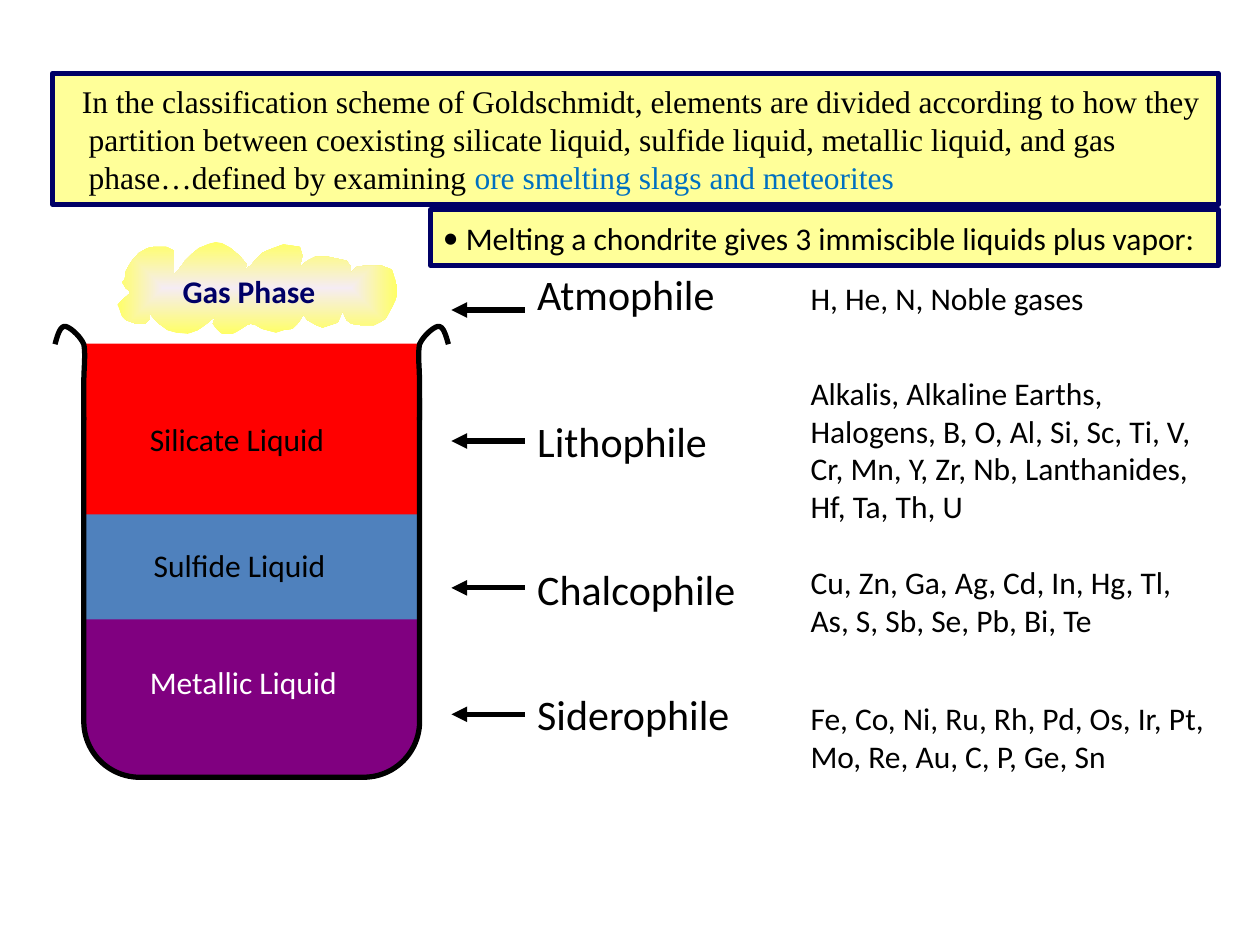
from lxml import etree
from pptx import Presentation
from pptx import util as u
from pptx.dml.color import RGBColor
from pptx.enum import shapes, text
from pptx.oxml.ns import qn

HUES = {
    "black": "000000", "white": "FFFFFF", "navy": "000066", "cream": "FFFF99",
    "red": "FF0000", "blue": "4F81BD", "purple": "800080", "link": "0070C0",
    "mist": "F5ECF3", "glow": "FFFF66",
}
RECT = shapes.MSO_SHAPE.RECTANGLE
ROUND = shapes.MSO_SHAPE.ROUNDED_RECTANGLE

LEFT, WIDE, TOP = 1.69, 6.77, 6.99  # beaker, in cm

# Cloud outline, in hundredths of an inch
CLOUD = [
    (99, 222), (100, 215), (104, 208), (110, 201), (117, 197), (122, 196),
    (132, 196), (138, 199), (138, 218), (142, 214), (147, 207), (153, 201),
    (158, 197), (165, 194), (171, 192), (176, 193), (183, 197), (190, 203),
    (196, 210), (194, 214), (199, 211), (203, 206), (208, 201), (212, 199),
    (217, 197), (225, 194), (238, 196), (240, 203), (238, 212), (244, 207),
    (250, 204), (261, 204), (275, 207), (278, 211), (278, 217), (283, 212),
    (289, 211), (303, 211), (311, 214), (315, 226), (315, 236), (311, 244),
    (306, 253), (301, 256), (297, 258), (286, 258), (279, 257), (275, 254),
    (272, 247), (268, 256), (256, 260), (251, 258), (244, 254), (240, 249),
    (242, 246), (239, 253), (236, 257), (232, 261), (225, 262), (219, 264),
    (208, 261), (203, 258), (199, 257), (196, 258), (190, 262), (185, 265),
    (176, 265), (172, 261), (169, 257), (171, 251), (164, 257), (157, 262),
    (149, 265), (140, 264), (133, 262), (125, 256), (119, 249), (119, 253),
    (115, 257), (108, 257), (100, 254), (97, 251), (94, 243), (93, 242),
    (97, 238), (103, 233), (103, 231), (100, 229), (97, 224),
]

# Bezier knots of the beaker lip: distance from the wall and height, in cm
LIP = [
    (0, 8.47), (0, 8.22), (0, 7.97), (0, 7.71), (0, 7.46), (0.04, 7.14),
    (0, 6.94), (-0.08, 6.76), (-0.3, 6.58), (-0.38, 6.58), (-0.48, 6.58),
    (-0.53, 6.76), (-0.58, 6.94),
]


def trace(knots, steps=10):
    """Sample a chain of cubic Bezier curves as points."""
    pts = [knots[0]]
    for i in range(0, len(knots) - 1, 3):
        for n in range(1, steps + 1):
            t = n / steps
            mix = ((1 - t) ** 3, 3 * t * (1 - t) ** 2, 3 * t * t * (1 - t), t ** 3)
            pts.append(tuple(sum(m * k[d] for m, k in zip(mix, knots[i:i + 4]))
                             for d in (0, 1)))
    return pts


class Board:
    face = "Calibri"
    size = 18
    pen = 3

    def __init__(self, slide):
        self.slide = slide

    def tint(self, name):
        return RGBColor.from_string(HUES[name])

    def paint(self, item, fill=None, line=None):
        item.shadow.inherit = False
        if fill:
            item.fill.solid()
            item.fill.fore_color.rgb = self.tint(fill)
        else:
            item.fill.background()
        if line:
            item.line.color.rgb = self.tint(line)
            item.line.width = u.Pt(self.pen)
        else:
            item.line.fill.background()

    def style(self, run, hue="black", size=None, face=None, bold=None):
        font = run.font
        font.name, font.size = face or self.face, u.Pt(size or self.size)
        font.bold, font.color.rgb = bold, self.tint(hue)

    def shape(self, kind, box, fill=None, line=None):
        item = self.slide.shapes.add_shape(kind, *map(u.Cm, box))
        self.paint(item, fill, line)
        return item

    def panel(self, box, words, margin, indent, bullet=None):
        """Framed box with one hanging paragraph; returns that paragraph."""
        frame = self.shape(RECT, box, "cream", "navy").text_frame
        frame.word_wrap = True
        frame.vertical_anchor = text.MSO_ANCHOR.MIDDLE
        para = frame.paragraphs[0]
        para.text = words
        para.alignment = text.PP_ALIGN.LEFT
        props = para._p.get_or_add_pPr()
        props.set("marL", str(u.Cm(margin)))
        props.set("indent", str(u.Cm(indent)))
        if bullet:
            etree.SubElement(props, qn("a:buFont")).set("typeface", self.face)
            etree.SubElement(props, qn("a:buChar")).set("char", bullet)
        return para

    def label(self, box, words, wrap=False, inset=None, **look):
        frame = self.slide.shapes.add_textbox(*map(u.Cm, box)).text_frame
        frame.word_wrap = wrap
        if inset is not None:
            frame.margin_left = frame.margin_right = u.Cm(inset)
            frame.margin_top = frame.margin_bottom = u.Cm(inset)
        frame.text = words
        self.style(frame.paragraphs[0].runs[0], **look)

    def arrow(self, start, end, y):
        item = self.slide.shapes.add_connector(
            shapes.MSO_CONNECTOR.STRAIGHT, *map(u.Cm, (start, y, end, y)))
        item.line.color.rgb = self.tint("black")
        item.line.width = u.Pt(self.pen)
        etree.SubElement(item.line._get_or_add_ln(), qn("a:tailEnd")).set("type", "triangle")
        etree.SubElement(item._element.spPr, qn("a:effectLst"))

    def outline(self, pts, close=False, line=None):
        first, *rest = [(u.Cm(x), u.Cm(y)) for x, y in pts]
        pen = self.slide.shapes.build_freeform(*first)
        pen.add_line_segments(rest, close=close)
        item = pen.convert_to_shape()
        self.paint(item, line=line)
        return item

    def glow(self, item, core, rim):
        """Fill from the centre outwards."""
        item.fill.gradient()
        for stop, hue in zip(item.fill.gradient_stops, (core, rim)):
            stop.color.rgb = self.tint(hue)
        grad = item._element.spPr.find(qn("a:gradFill"))
        grad.remove(grad.find(qn("a:lin")))
        way = etree.SubElement(grad, qn("a:path"))
        way.set("path", "rect")
        spot = etree.SubElement(way, qn("a:fillToRect"))
        for side in "ltrb":
            spot.set(side, "50000")


def main():
    deck = Presentation()
    deck.slide_width, deck.slide_height = u.Cm(25.4), u.Cm(19.05)
    board = Board(deck.slides.add_slide(deck.slide_layouts[6]))

    for kind, y, high, hue in ((ROUND, 9.53, 6.14, "purple"),
                               (RECT, TOP, 3.39, "red"),
                               (RECT, 10.37, 2.12, "blue")):
        board.shape(kind, (LEFT, y, WIDE, high), hue)

    intro = board.panel(
        (1.06, 1.48, 23.5, 2.64),
        "In the classification scheme of Goldschmidt, elements are divided "
        "according to how they partition between coexisting silicate liquid, "
        "sulfide liquid, metallic liquid, and gas phase…defined by examining ",
        0.48, -0.14)
    intro.add_run().text = "ore smelting slags and meteorites"
    for run, hue in zip(intro.runs, ("black", "link")):
        board.style(run, hue, face="Times New Roman")

    cloud = board.outline([(x * 0.0254, y * 0.0254) for x, y in CLOUD], close=True)
    board.glow(cloud, "mist", "glow")

    for x, y, wide, words, hue in ((3.02, 8.46, 3.76, "Silicate Liquid", "black"),
                                   (3.1, 11, 3.68, "Sulfide Liquid", "black"),
                                   (3.02, 13.36, 3.97, "Metallic Liquid", "white"),
                                   (3.68, 5.49, 2.8, "Gas Phase", "navy")):
        board.label((x, y, wide, 0.76), words, inset=0, hue=hue,
                    bold=hue == "navy")

    # group, its top and width, arrow height, members with top, width, height
    groups = (
        ("Atmophile", 5.29, 4.14, 6.25, "H, He, N, Noble gases", 5.5, 8.26, 1.02),
        ("Lithophile", 8.26, 4.04, 8.89,
         "Alkalis, Alkaline Earths, Halogens, B, O, Al, Si, Sc, Ti, V, "
         "Cr, Mn, Y, Zr, Nb, Lanthanides, Hf, Ta, Th, U", 7.41, 8.26, 3.3),
        ("Chalcophile", 11.23, 4.6, 11.85,
         "Cu, Zn, Ga, Ag, Cd, In, Hg, Tl, As, S, Sb, Se, Pb, Bi, Te",
         11.23, 8.26, 1.78),
        ("Siderophile", 13.76, 4.42, 14.4,
         "Fe, Co, Ni, Ru, Rh, Pd, Os, Ir, Pt, Mo, Re, Au, C, P, Ge, Sn",
         13.97, 8.68, 1.78),
    )
    for name, y, wide, mid, parts, top, span, high in groups:
        board.label((10.58, y, wide, 1.27), name, size=24)
        board.arrow(10.58, 9.1, mid)
        board.label((16.09, top, span, high), parts, wrap=True)

    melt = board.panel((8.68, 4.23, 15.88, 1.12),
                       "Melting a chondrite gives 3 immiscible liquids plus vapor:",
                       0.46, -0.46, "•")
    board.style(melt.runs[0])

    board.shape(ROUND, (LEFT, TOP, WIDE, 8.68), line="black")
    board.shape(RECT, (LEFT, 6.93, WIDE, 1.48), "red")
    for wall, side in ((LEFT, 1), (LEFT + WIDE, -1)):
        board.outline([(wall + side * x, y) for x, y in trace(LIP)], line="black")

    deck.save("out.pptx")


if __name__ == "__main__":
    main()
